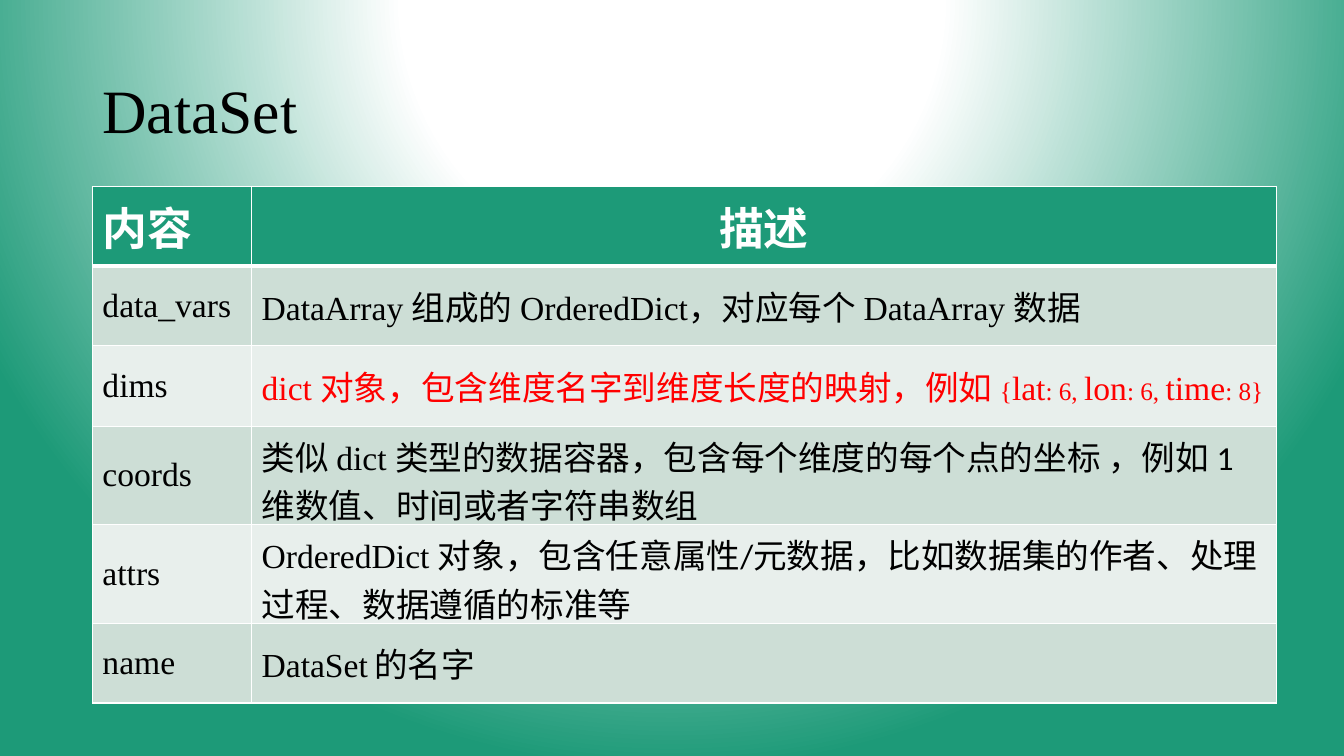
"""Build a slide that describes the parts of a DataSet in a table."""
import pptx
import pptx.enum.lang
import pptx.enum.text
import pptx.oxml
import pptx.oxml.ns
import pptx.util
from pptx.dml.color import RGBColor

Pt = pptx.util.Pt
PP_ALIGN = pptx.enum.text.PP_ALIGN
MIDDLE = pptx.enum.text.MSO_ANCHOR.MIDDLE
COLORS = {
    "white": "FFFFFF",
    "black": "000000",
    "red": "FF0000",
    "green": "1D9A78",
    "odd": "CDDED6",
    "even": "E8EFEC",
}
SERIF = "Times New Roman"
SANS = "Calibri"
EN = {"font": SERIF}
CN = {"font": SANS}
HEAD = {"font": SANS, "size": 32, "color": "white", "bold": True}
RED = {"font": SERIF, "color": "red"}
RED_CN = {"font": SANS, "color": "red"}
RED_SMALL = {"font": SERIF, "color": "red", "size": 18}

COLUMN_WIDTHS = [113.7, 732]
ROW_HEIGHTS = [56.8, 56.8, 56.8, 70.5, 70.5, 56.8]
ROWS = [
    ([("内容", HEAD)], [("描述", HEAD)]),
    ([("data_vars", EN)],
     [("DataArray ", EN), ("组成的 ", CN), ("OrderedDict，", EN),
      ("对应每个 ", CN), ("DataArray ", EN), ("数据", CN)]),
    ([("dims", EN)],
     [("dict ", RED), ("对象，包含维度名字到维度长度的映射，例如 ", RED_CN),
      ("{", RED_SMALL), ("lat", RED), (": 6, ", RED_SMALL), ("lon", RED),
      (": 6, ", RED_SMALL), ("time", RED), (": 8}", RED_SMALL)]),
    ([("coords", EN)],
     [("类似 ", CN), ("dict ", EN),
      ("类型的数据容器，包含每个维度的每个点的坐标 ，例如 1维数值、时间或者字符串数组", CN)]),
    ([("attrs", EN)],
     [("OrderedDict ", EN),
      ("对象，包含任意属性/元数据，比如数据集的作者、处理过程、数据遵循的标准等", CN)]),
    ([("name", EN)],
     [("DataSet", EN), (" ", {"font": SERIF, "size": 18}), ("的名字", CN)]),
]


def add_run(paragraph, text, *, font, size=24, color="black", bold=False):
    """Append formatted text to a paragraph."""
    run = paragraph.add_run()
    run.text = text
    run.font.name = font
    run.font.size = Pt(size)
    run.font.bold = bold
    run.font.color.rgb = RGBColor.from_string(COLORS[color])
    run.font.language_id = pptx.enum.lang.MSO_LANGUAGE_ID.SIMPLIFIED_CHINESE


def set_background(slide):
    """Give the slide a radial gradient centred above its top edge."""
    stops = "".join(
        f'<a:gs pos="{percent * 1000}"><a:srgbClr val="{COLORS[color]}"/></a:gs>'
        for percent, color in [(0, "white"), (35, "white"), (100, "green")])
    background = pptx.oxml.parse_xml(
        f'<p:bg {pptx.oxml.ns.nsdecls("p", "a")}><p:bgPr><a:gradFill rotWithShape="1">'
        f'<a:gsLst>{stops}</a:gsLst><a:path path="circle">'
        '<a:fillToRect l="50000" t="-80000" r="50000" b="180000"/></a:path>'
        '</a:gradFill><a:effectLst/></p:bgPr></p:bg>')
    slide.element.cSld.insert(0, background)


def add_title(slide, text):
    """Add the slide heading."""
    heading = slide.shapes.add_textbox(Pt(66), Pt(28.75), Pt(828), Pt(104.4))
    frame = heading.text_frame
    frame.word_wrap = True
    frame.vertical_anchor = MIDDLE
    frame.paragraphs[0].line_spacing = 0.9
    add_run(frame.paragraphs[0], text, font=SERIF, size=44)


def set_borders(cell, top, bottom):
    """Draw white borders with the given top and bottom widths in points."""
    properties = cell._tc.get_or_add_tcPr()
    widths = {"lnL": 1, "lnR": 1, "lnT": top, "lnB": bottom}
    for position, (side, width) in enumerate(widths.items()):
        properties.insert(position, pptx.oxml.parse_xml(
            f'<a:{side} {pptx.oxml.ns.nsdecls("a")} w="{Pt(width)}"><a:solidFill>'
            f'<a:srgbClr val="{COLORS["white"]}"/></a:solidFill></a:{side}>'))


def fill_cell(cell, runs, row_number):
    """Write one cell and style it for its row."""
    band = "green" if row_number == 0 else ("even", "odd")[row_number % 2]
    cell.vertical_anchor = MIDDLE
    cell.fill.solid()
    cell.fill.fore_color.rgb = RGBColor.from_string(COLORS[band])
    set_borders(cell, top=3 if row_number == 1 else 1, bottom=3 if row_number == 0 else 1)
    for text, style in runs:
        add_run(cell.text_frame.paragraphs[0], text, **style)


def add_member_table(slide):
    """Add the table of DataSet members and their descriptions."""
    members = slide.shapes.add_table(
        len(ROWS), len(COLUMN_WIDTHS), Pt(66), Pt(133.2),
        Pt(sum(COLUMN_WIDTHS)), Pt(sum(ROW_HEIGHTS))).table
    for column, width in zip(members.columns, COLUMN_WIDTHS):
        column.width = Pt(width)
    for row_number, (height, contents) in enumerate(zip(ROW_HEIGHTS, ROWS)):
        members.rows[row_number].height = Pt(height)
        for column_number, runs in enumerate(contents):
            fill_cell(members.cell(row_number, column_number), runs, row_number)
    members.cell(0, 1).text_frame.paragraphs[0].alignment = PP_ALIGN.CENTER


def main():
    """Create and save the presentation."""
    presentation = pptx.Presentation()
    presentation.slide_width = Pt(960)
    presentation.slide_height = Pt(540)
    slide = presentation.slides.add_slide(presentation.slide_layouts[6])
    set_background(slide)
    add_title(slide, "DataSet")
    add_member_table(slide)
    presentation.save("out.pptx")


if __name__ == "__main__":
    main()
